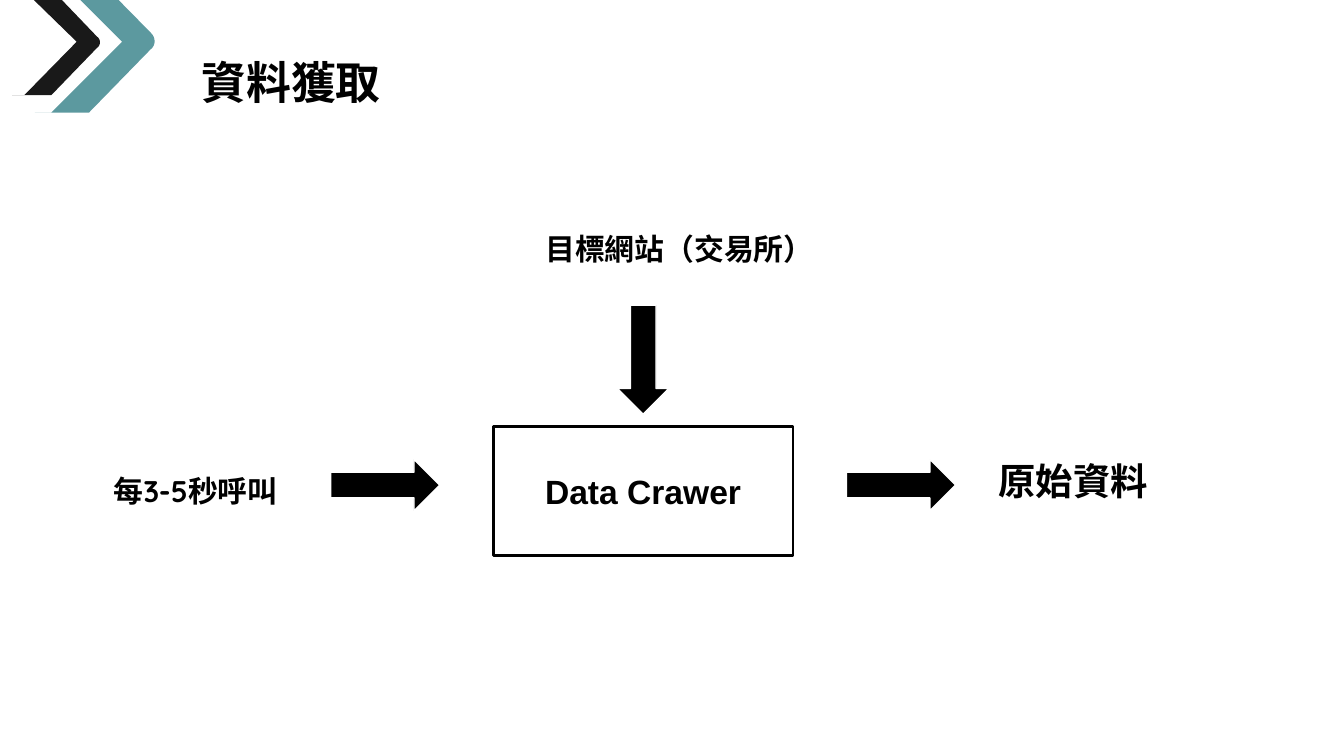
from collections import namedtuple
from dataclasses import dataclass

from lxml.etree import SubElement
from pptx import Presentation
from pptx.dml.color import RGBColor
from pptx.enum.shapes import MSO_SHAPE as Preset
from pptx.enum.text import MSO_ANCHOR as Anchor, MSO_AUTO_SIZE as AutoSize, PP_ALIGN as Align
from pptx.oxml.ns import qn
from pptx.util import Cm, Pt

Box = namedtuple("Box", "left top width height")  # centimetres


@dataclass(frozen=True)
class Theme:
    ink: RGBColor = RGBColor(0x00, 0x00, 0x00)
    paper: RGBColor = RGBColor(0xFF, 0xFF, 0xFF)
    teal: RGBColor = RGBColor(0x4B, 0x8E, 0x95)
    text_font: str = "Quicksand"
    box_font: str = "Arial"
    title: int = 24
    result: int = 20
    process: int = 18
    label: int = 16


THEME = Theme()


def inside(region, left, top, width, height):
    """Move a box given relative to a region onto the page."""
    return Box(region.left + left, region.top + top, width, height)


def write(frame, text, *, size, font=THEME.text_font, align=Align.LEFT,
          anchor=Anchor.TOP, margins=(0.25, 0.25), wrap=True, lang="zh-TW"):
    frame.word_wrap = wrap
    frame.vertical_anchor = anchor
    frame.margin_left = frame.margin_right = Cm(margins[0])
    frame.margin_top = frame.margin_bottom = Cm(margins[1])
    para = frame.paragraphs[0]
    para.alignment = align
    span = para.add_run()
    span.text = text
    span.font.size = Pt(size)
    span.font.bold = True
    span.font.color.rgb = THEME.ink
    span.font.name = font
    props = span.font._element
    props.set("lang", lang)
    SubElement(props, qn("a:ea"), typeface=font)


def add_label(page, box, text, **style):
    frame = page.shapes.add_textbox(*map(Cm, box)).text_frame
    write(frame, text, **style)
    frame.auto_size = AutoSize.SHAPE_TO_FIT_TEXT


def add_block(page, preset, box, *, fill, line, weight):
    shape = page.shapes.add_shape(preset, *map(Cm, box))
    shape.shadow.inherit = False
    shape.fill.solid()
    shape.fill.fore_color.rgb = fill
    shape.line.color.rgb = line
    shape.line.width = Pt(weight)
    return shape


def add_arrow(page, centre_x, centre_y, rotation=0):
    width, height = 2.06, 0.97
    box = Box(centre_x - width / 2, centre_y - height / 2, width, height)
    arrow = add_block(page, Preset.RIGHT_ARROW, box,
                      fill=THEME.ink, line=THEME.paper, weight=0.75)
    arrow.rotation = rotation


def curve(start, first, second, end, steps=8):
    """Points along a cubic curve, both ends included."""
    for step in range(steps + 1):
        t = step / steps
        weights = ((1 - t) ** 3, 3 * t * (1 - t) ** 2, 3 * t * t * (1 - t), t ** 3)
        yield tuple(sum(w * p for w, p in zip(weights, axis))
                    for axis in zip(start, first, second, end))


def add_chevron(page, region, points, colour):
    dots = [(Cm(region.left + x), Cm(region.top + y)) for x, y in points]
    builder = page.shapes.build_freeform(*dots[0])
    builder.add_line_segments(dots[1:], close=True)
    shape = builder.convert_to_shape()
    shape.shadow.inherit = False
    shape.fill.solid()
    shape.fill.fore_color.rgb = colour
    shape.line.fill.background()
    colour_node = shape._element.spPr.find(qn("a:solidFill"))[0]
    SubElement(colour_node, qn("a:alpha"), val="90000")


def draw_chevrons(page, region):
    # Teal chevron, behind
    tip = curve((2.84, 0.94), (2.95, 0.86), (2.95, 0.71), (2.84, 0.61))
    add_chevron(page, region, [(0.66, 2.13), (1.68, 2.13), *tip, (2.24, 0),
                               (1.52, 0), (2.31, 0.79), (0.97, 2.13)], THEME.teal)
    # Black chevron, in front
    tip = curve((1.83, 0.91), (1.91, 0.86), (1.91, 0.74), (1.83, 0.69))
    add_chevron(page, region, [(0.23, 1.8), (0.97, 1.8), *tip, (1.17, 0),
                               (0.64, 0), (1.45, 0.79), (0.46, 1.8)], THEME.ink)


def draw_header(page, region):
    add_label(page, inside(region, 3.63, 0.94, 4.88, 1.22), "資料獲取",
              size=THEME.title, margins=(0.18, 0.1))
    draw_chevrons(page, region)


def draw_flow(page, region):
    # Process box in the middle
    process = inside(region, 7.42, 3.95, 5.67, 2.44)
    block = add_block(page, Preset.RECTANGLE, process,
                      fill=THEME.paper, line=THEME.ink, weight=1.5)
    write(block.text_frame, "Data Crawer", size=THEME.process, font=THEME.box_font,
          align=Align.CENTER, anchor=Anchor.MIDDLE, lang="en-US")

    # Arrows in from the left and top, out to the right
    middle = process.left + process.width / 2
    row = region.top + 5.06
    add_arrow(page, region.left + 5.38, row)
    add_arrow(page, middle, region.top + 2.69, rotation=90)
    add_arrow(page, region.left + 15.13, row)

    # Labels at the outer ends of the arrows
    add_label(page, inside(region, 0, 4.58, 4.55, 1.19), "每3-5秒呼叫", size=THEME.label)
    add_label(page, inside(region, 8.16, 0, 6.3, 1.19), "目標網站（交易所）",
              size=THEME.label, wrap=False)
    add_label(page, inside(region, 16.72, 4.3, 6.65, 1.37), "原始資料", size=THEME.result)


def main():
    deck = Presentation()
    deck.slide_width, deck.slide_height = Cm(25.4), Cm(14.29)
    page = deck.slides.add_slide(deck.slide_layouts[6])
    draw_header(page, Box(0, 0, 25.4, 2.16))
    draw_flow(page, Box(1.9, 4.11, 23.37, 6.39))
    deck.save("out.pptx")


if __name__ == "__main__":
    main()
